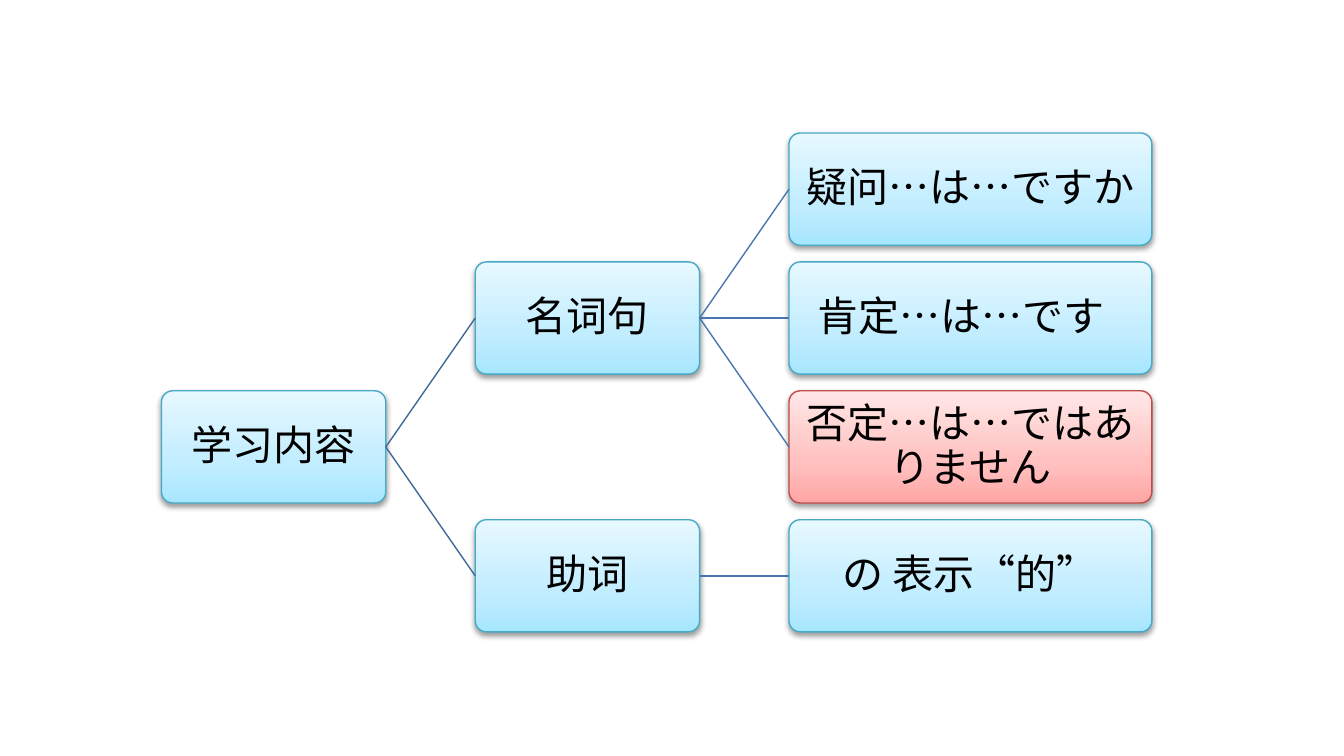
from copy import deepcopy

from lxml import etree
from pptx import Presentation
from pptx import util as u
from pptx.dml.color import RGBColor
from pptx.enum import shapes, text
from pptx.oxml.ns import qn

BLUE = {"line": "46AAC5", "stops": ["A7E6FF", "C1EDFF", "E7F8FF"]}
RED = {"line": "BF4C48", "stops": ["FFA6A5", "FFC0BF", "FFE7E7"]}
LINKS = ["3F6797", "4875AC"]  # link colour by level of the parent
WIDTHS = [120.2, 120.2, 194.4]  # box width by level
BOX_H, ROW, GAP, INSET = 60.1, 69.05, 47.9, 3.3

# Node: label, children, optional style
TREE = {"label": "学习内容", "children": [
    {"label": "名词句", "children": [
        {"label": "疑问…は…ですか"},
        {"label": "肯定…は…です", "right": 10},
        {"label": "否定…は…ではありません", "style": RED}]},
    {"label": "助词", "children": [
        {"label": "の 表示“的”"}]}]}


def color(value):
    return RGBColor.from_string(value)


def set_all(obj, values):
    for name, value in values.items():
        setattr(obj, name, value)


def paint(sp, style):
    """Give a box its three-stop gradient, outline and soft shadow."""
    sp.fill.gradient()
    sp.fill.gradient_angle = 90
    stops = sp._element.spPr.find(".//" + qn("a:gsLst"))
    stops.append(deepcopy(stops[-1]))
    for stop, pos, value in zip(sp.fill.gradient_stops, (0, 0.35, 1), style["stops"]):
        set_all(stop, {"position": pos})
        stop.color.rgb = color(value)
    sp.line.color.rgb = color(style["line"])
    sp.line.width = u.Pt(0.75)
    sp.shadow.inherit = False
    effects = sp._element.spPr.find(qn("a:effectLst"))
    shadow = etree.SubElement(effects, qn("a:outerShdw"), blurRad=str(u.Pt(3.1)),
                              dist=str(u.Pt(1.6)), dir="5400000", rotWithShape="0")
    black = etree.SubElement(shadow, qn("a:srgbClr"), val="000000")
    etree.SubElement(black, qn("a:alpha"), val="38000")


def add_box(s, node, left, top, width):
    sp = s.shapes.add_shape(shapes.MSO_SHAPE.ROUNDED_RECTANGLE,
                            *map(u.Pt, (left, top, width, BOX_H)))
    sp.adjustments[0] = 0.1
    paint(sp, node.get("style", BLUE))
    tf = sp.text_frame
    set_all(tf, {"word_wrap": True, "vertical_anchor": text.MSO_ANCHOR.MIDDLE,
                 "margin_left": u.Pt(INSET), "margin_top": u.Pt(INSET),
                 "margin_right": u.Pt(INSET + node.get("right", 0)),
                 "margin_bottom": u.Pt(INSET)})
    p = tf.paragraphs[0]
    set_all(p, {"alignment": text.PP_ALIGN.CENTER, "line_spacing": 0.9})
    r = p.add_run()
    r.text = node["label"]
    set_all(r.font, {"size": u.Pt(22), "name": "Calibri"})
    r.font.color.rgb = color("000000")
    return sp


def add_link(s, parent, child, value):
    """Join the right side of a parent to the left side of its child."""
    cx = s.shapes.add_connector(shapes.MSO_CONNECTOR.STRAIGHT, 0, 0, 0, 0)
    cx.begin_connect(parent, 3)
    cx.end_connect(child, 1)
    cx.line.color.rgb = color(value)
    cx.line.width = u.Pt(0.75)
    etree.SubElement(cx._element.spPr, qn("a:effectLst"))


def add_tree(s, node, left, top, level=0):
    """Place a subtree; return its box, its row and the next free top."""
    width = WIDTHS[level]
    kids, next_top = [], top
    for child in node.get("children", []):
        sp, y, next_top = add_tree(s, child, left + width + GAP, next_top, level + 1)
        kids.append((sp, y))
    # A parent is centred between its first and last child
    y = (kids[0][1] + kids[-1][1]) / 2 if kids else top
    box = add_box(s, node, left, y, width)
    for sp, _ in kids:
        add_link(s, box, sp, LINKS[level])
    return box, y, next_top if kids else top + ROW


def main():
    prs = Presentation()
    set_all(prs, {"slide_width": u.Pt(720), "slide_height": u.Pt(405)})
    s = prs.slides.add_slide(prs.slide_layouts[6])
    add_tree(s, TREE, 86.5, 71.3)
    prs.save("out.pptx")


if __name__ == "__main__":
    main()
